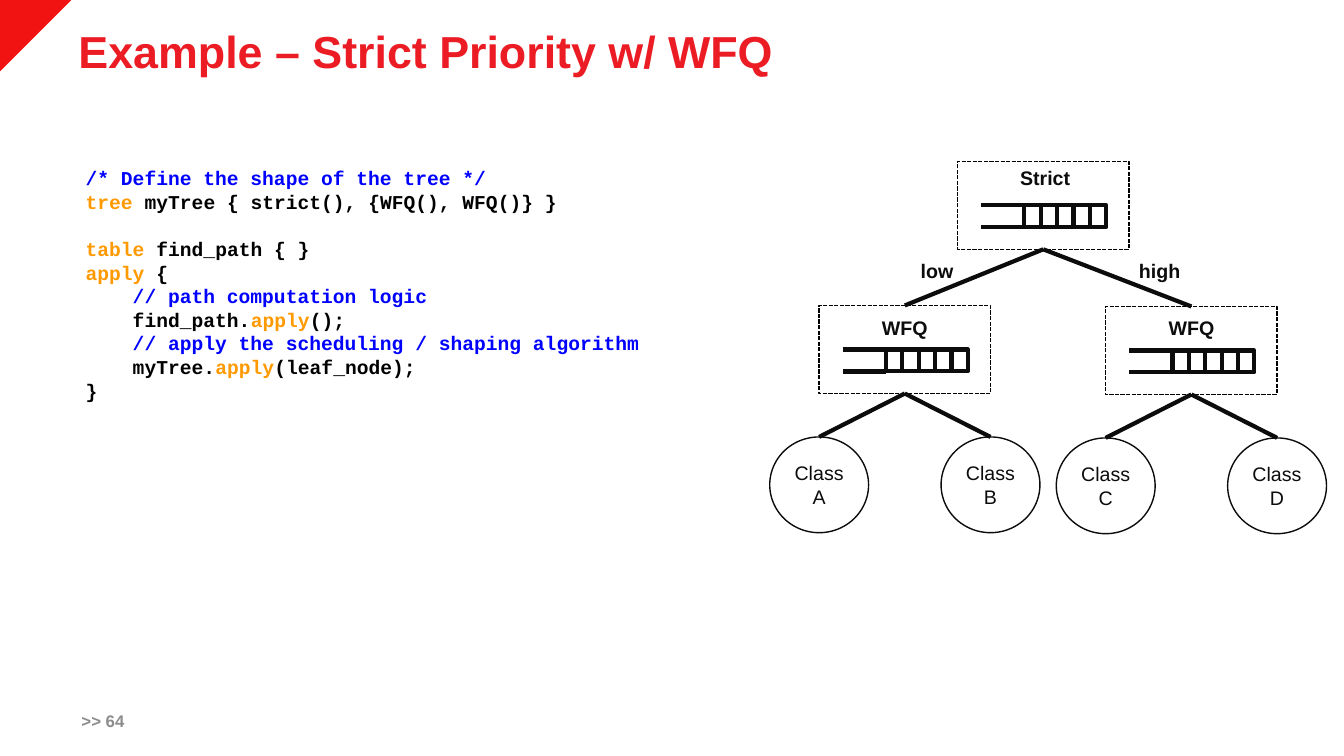
"""Build the slide on strict priority scheduling over two WFQ nodes."""
import dataclasses

import lxml.etree
import pptx
import pptx.dml.color
import pptx.enum.dml
import pptx.enum.shapes
import pptx.enum.text
import pptx.oxml.ns
import pptx.util

Pt = pptx.util.Pt
RGB = pptx.dml.color.RGBColor.from_string
Shape = pptx.enum.shapes.MSO_SHAPE
Align = pptx.enum.text.PP_ALIGN
Anchor = pptx.enum.text.MSO_ANCHOR


@dataclasses.dataclass(frozen=True)
class Theme:
    sans: str = "Arial"
    mono: str = "Courier New"
    corner: str = "F11212"
    title: str = "EC1C24"
    ink: str = "0C0C0C"
    black: str = "000000"
    comment: str = "0000FF"
    keyword: str = "FF9900"
    muted: str = "8C8C8C"
    title_size: int = 32
    body_size: int = 14
    number_size: int = 12
    thin: int = 1
    thick: int = 3


theme = Theme()


def add_outline(shapes, kind, left, top, width, height, weight, color=theme.ink):
    outline = shapes.add_shape(kind, Pt(left), Pt(top), Pt(width), Pt(height))
    outline.shadow.inherit = False
    outline.fill.background()
    outline.line.color.rgb = RGB(color)
    outline.line.width = Pt(weight)
    return outline


def add_line(shapes, x1, y1, x2, y2):
    line = shapes.add_connector(
        pptx.enum.shapes.MSO_CONNECTOR.STRAIGHT, Pt(x1), Pt(y1), Pt(x2), Pt(y2))
    line.line.color.rgb = RGB(theme.ink)
    line.line.width = Pt(theme.thick)
    properties = line._element.spPr
    lxml.etree.SubElement(properties, pptx.oxml.ns.qn("a:effectLst"))


deck = pptx.Presentation()
deck.slide_width, deck.slide_height = Pt(960), Pt(540)
slide = deck.slides.add_slide(deck.slide_layouts[6])

corner_path = slide.shapes.build_freeform(Pt(51), 0)
corner_path.add_line_segments([(0, 0), (0, Pt(51))], close=True)
corner = corner_path.convert_to_shape()
corner.shadow.inherit = False
corner.fill.solid()
corner.fill.fore_color.rgb = RGB(theme.corner)
corner.line.fill.background()

code_lines = [
    [("/* Define the shape of the tree */", theme.comment)],
    [("tree ", theme.keyword), ("myTree { strict(), {WFQ(), WFQ()} }", theme.black)],
    [("table ", theme.keyword), ("find_path { }", theme.black)],
    [("apply", theme.keyword), (" {", theme.black)],
    [("    // path computation logic", theme.comment)],
    [("    find_path.", theme.black), ("apply", theme.keyword), ("();", theme.black)],
    [("    // apply the scheduling / shaping algorithm", theme.comment)],
    [("    myTree.", theme.black), ("apply", theme.keyword), ("(leaf_node);", theme.black)],
    [("}", theme.black)],
]
code_pitch = Pt(16.85)
code = slide.shapes.add_textbox(Pt(28.8), Pt(115.2), Pt(467.3), Pt(374.4)).text_frame
code.word_wrap = True
code.margin_left = Pt(32.4)
for index, pieces in enumerate(code_lines):
    paragraph = code.paragraphs[0] if index == 0 else code.add_paragraph()
    paragraph.line_spacing = code_pitch
    if pieces[0][0] == "table ":
        paragraph.space_before = code_pitch
    paragraph.font.name = theme.mono
    paragraph.font.size = Pt(theme.body_size)
    paragraph.font.bold = True
    for words, color in pieces:
        run = paragraph.add_run()
        run.text = words
        run.font.color.rgb = RGB(color)

node_width, node_height = 122.4, 62.9
cell_width, cell_height, cell_count = 11.7, 15.6, 5
leaf_width, leaf_height, leaf_drop = 70.6, 68.4, 31
root_left, root_top = 684, 115.2
root_center, root_bottom = root_left + node_width / 2, root_top + node_height
nodes = [
    (root_left, root_top, ""),
    (585.1, 218.2, "AB"),
    (789.8, 218.9, "CD"),
]
for left, top, classes in nodes:
    center, bottom = left + node_width / 2, top + node_height
    node = add_outline(slide.shapes, Shape.RECTANGLE, left, top,
                       node_width, node_height, theme.thin, theme.black)
    node.line.dash_style = pptx.enum.dml.MSO_LINE.SQUARE_DOT

    queue = slide.shapes.add_group_shape().shapes
    queue_left, queue_top = left + 16.7, top + 31.5
    cells_left = queue_left + 31
    for cell in range(cell_count):
        add_outline(queue, Shape.RECTANGLE, cells_left + cell * cell_width, queue_top,
                    cell_width, cell_height, theme.thick)
    for rail_y in (queue_top, queue_top + cell_height):
        add_line(queue, cells_left, rail_y, queue_left, rail_y)

    if classes:
        add_line(slide.shapes, root_center, root_bottom, center, top)
    for letter, leaf_center in zip(classes, (left, left + node_width)):
        leaf_top = bottom + leaf_drop
        leaf = add_outline(slide.shapes, Shape.OVAL, leaf_center - leaf_width / 2,
                           leaf_top, leaf_width, leaf_height, theme.thin)
        add_line(slide.shapes, center, bottom, leaf_center, leaf_top)
        caption = leaf.text_frame
        caption.word_wrap = True
        caption.margin_left = caption.margin_right = Pt(4)
        caption.vertical_anchor = Anchor.MIDDLE
        paragraph = caption.paragraphs[0]
        paragraph.text = f"Class {letter}"
        paragraph.alignment = Align.CENTER
        paragraph.font.name = theme.sans
        paragraph.font.size = Pt(theme.body_size)
        paragraph.font.color.rgb = RGB(theme.ink)

title_style = (theme.title_size, theme.title, Align.LEFT)
number_style = (theme.number_size, theme.muted, Align.LEFT)
label_style = (theme.body_size, theme.ink, Align.CENTER)
headings = [
    ("Example – Strict Priority w/ WFQ", 49, 16.6, 830.2, 39.6, title_style),
    (">> 64", 51.1, 500.4, 71.3, 28.8, number_style),
    ("Strict", 721.4, 114.5, 50.4, 24.5, label_style),
    ("WFQ", 622.6, 221.8, 47.5, 24.5, label_style),
    ("WFQ", 827.3, 221.8, 47.5, 24.5, label_style),
    ("low", 650.2, 181.4, 38.2, 24.5, label_style),
    ("high", 806.4, 181.4, 43.9, 24.5, label_style),
]
for words, left, top, width, height, (size, color, alignment) in headings:
    heading = slide.shapes.add_textbox(Pt(left), Pt(top), Pt(width), Pt(height)).text_frame
    heading.word_wrap = alignment == Align.LEFT
    heading.vertical_anchor = Anchor.MIDDLE
    paragraph = heading.paragraphs[0]
    paragraph.text = words
    paragraph.alignment = alignment
    paragraph.font.name = theme.sans
    paragraph.font.size = Pt(size)
    paragraph.font.bold = True
    paragraph.font.color.rgb = RGB(color)

deck.save("out.pptx")
